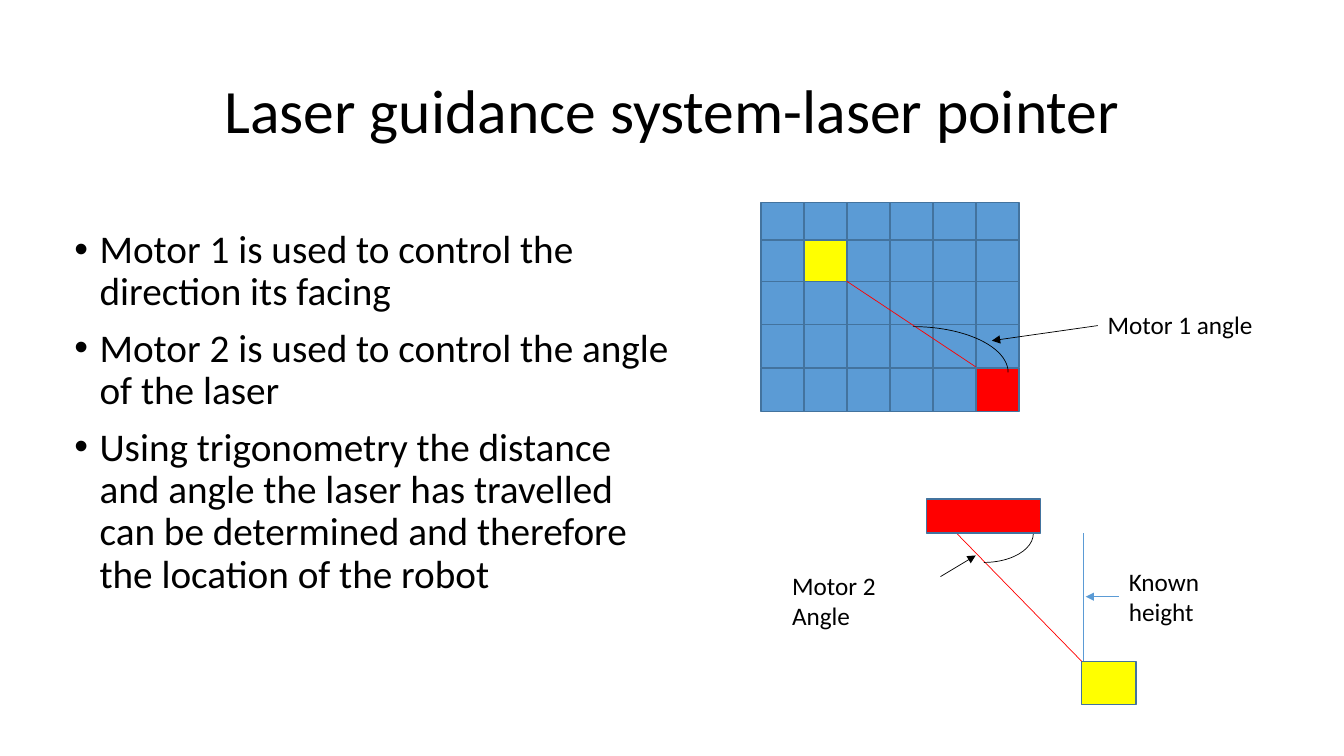
from dataclasses import dataclass

from lxml import etree
from pptx import Presentation
from pptx import util as u
from pptx.dml.color import RGBColor
from pptx.enum import shapes, text
from pptx.oxml.ns import qn


@dataclass(frozen=True)
class Theme:
    font: str = "Calibri"
    title: int = 44
    body: int = 28
    label: int = 18
    black: str = "000000"
    blue: str = "5B9BD5"
    edge: str = "43739E"
    red: str = "FF0000"
    yellow: str = "FFFF00"
    thin: float = 0.5
    outline: float = 1


T = Theme()
WIDTH, HEIGHT = u.Inches(13.33), u.Inches(7.5)

# Floor grid, in percent of the slide
COLUMNS, GRID_LEFT, COLUMN_PITCH = 6, 56.63, 3.2
ROW_TOPS = (26.8, 31.73, 37.2, 42.93, 48.67)
CELL = (3.18, 5.73)
TARGET, POINTER = (1, 1), (4, 5)  # row, column

BULLETS = (
    "Motor 1 is used to control the direction its facing",
    "Motor 2 is used to control the angle of the laser",
    "Using trigonometry the distance and angle the laser has travelled "
    "can be determined and therefore the location of the robot",
)


def share(*values):
    """Turn alternating x, y percentages into slide lengths."""
    return [int((HEIGHT if i % 2 else WIDTH) * v / 100)
            for i, v in enumerate(values)]


def set_line(line, color, width):
    line.color.rgb = RGBColor.from_string(color)
    line.width = u.Pt(width)


def add_text(s, box, lines, size, bullets=False, align=None,
             anchor=text.MSO_ANCHOR.TOP, spacing=None):
    tf = s.shapes.add_textbox(*share(*box)).text_frame
    tf.word_wrap = True
    tf.vertical_anchor = anchor
    tf.text = "\n".join(lines)
    for p in tf.paragraphs:
        p.alignment = align
        p.line_spacing = spacing
        p.font.name, p.font.size = T.font, u.Pt(size)
        p.font.color.rgb = RGBColor.from_string(T.black)
        if bullets:
            p.space_before = u.Pt(10)
            pPr = p._p.get_or_add_pPr()
            pPr.set("marL", str(u.Inches(0.25)))
            pPr.set("indent", str(-u.Inches(0.25)))
            bullet_font = etree.Element(qn("a:buFont"), typeface="Arial")
            bullet = etree.Element(qn("a:buChar"), char="•")
            pPr.find(qn("a:spcBef")).addnext(bullet_font)
            bullet_font.addnext(bullet)


def add_rect(s, box, fill):
    sp = s.shapes.add_shape(shapes.MSO_SHAPE.RECTANGLE, *share(*box))
    sp.shadow.inherit = False
    sp.fill.solid()
    sp.fill.fore_color.rgb = RGBColor.from_string(fill)
    set_line(sp.line, T.edge, T.outline)


def add_arc(s, box, start, end):
    sp = s.shapes.add_shape(shapes.MSO_SHAPE.ARC, *share(*box))
    sp.shadow.inherit = False
    sp.fill.background()
    # Arc angles are stored in 60000ths of a degree, scaled by 100000
    sp.adjustments[0], sp.adjustments[1] = start * 0.6, end * 0.6
    set_line(sp.line, T.black, T.thin)


def add_line(s, ends, color, arrow=False):
    cx = s.shapes.add_connector(shapes.MSO_CONNECTOR.STRAIGHT, *share(*ends))
    set_line(cx.line, color, T.thin)
    if arrow:
        etree.SubElement(cx.line._get_or_add_ln(), qn("a:tailEnd"),
                         type="triangle")
    etree.SubElement(cx._element.spPr, qn("a:effectLst"))


def draw_floor_grid(s):
    special = {TARGET: T.yellow, POINTER: T.red}
    for row, top in enumerate(ROW_TOPS):
        for col in range(COLUMNS):
            left = GRID_LEFT + col * COLUMN_PITCH
            add_rect(s, (left, top, *CELL), special.get((row, col), T.blue))


def draw_top_view(s):
    draw_floor_grid(s)
    add_line(s, (72.6, 48.53, 63, 37.2), T.red)
    add_arc(s, (60.83, 43.2, 14.18, 12.13), 270, 0)
    add_text(s, (81.68, 40.27, 14.03, 5.33), ["Motor 1 angle"], T.label)
    add_line(s, (81.68, 43.07, 73.8, 45.07), T.black, arrow=True)


def draw_side_view(s):
    # Target, laser beam and pointer
    add_rect(s, (80.48, 87.47, 4.05, 5.73), T.yellow)
    add_line(s, (71.1, 70.4, 80.48, 87.47), T.red)
    add_arc(s, (69.53, 66.8, 7.35, 7.6), 0, 90)
    add_rect(s, (68.93, 66, 8.48, 4.53), T.red)
    # Angle label
    add_text(s, (58.2, 74.8, 10.13, 5.33), ["Motor 2 Angle"], T.label)
    add_line(s, (69.98, 76.27, 72.6, 73.47), T.black, arrow=True)
    # Height label
    add_line(s, (80.63, 70.53, 80.63, 87.47), T.blue)
    add_text(s, (83.25, 74.27, 8.1, 9.47), ["Known height"], T.label)
    add_line(s, (83.25, 78.93, 80.78, 78.93), T.blue, arrow=True)


def main():
    prs = Presentation()
    prs.slide_width, prs.slide_height = WIDTH, HEIGHT
    s = prs.slides.add_slide(prs.slide_layouts[6])
    add_text(s, (6.9, 5.33, 86.25, 19.33),
             ["Laser guidance system-laser pointer"], T.title,
             align=text.PP_ALIGN.CENTER, anchor=text.MSO_ANCHOR.MIDDLE,
             spacing=0.9)
    add_text(s, (4.8, 29.73, 45.98, 63.47), BULLETS, T.body, bullets=True,
             spacing=0.9)
    draw_top_view(s)
    draw_side_view(s)
    prs.save("out.pptx")


if __name__ == "__main__":
    main()
